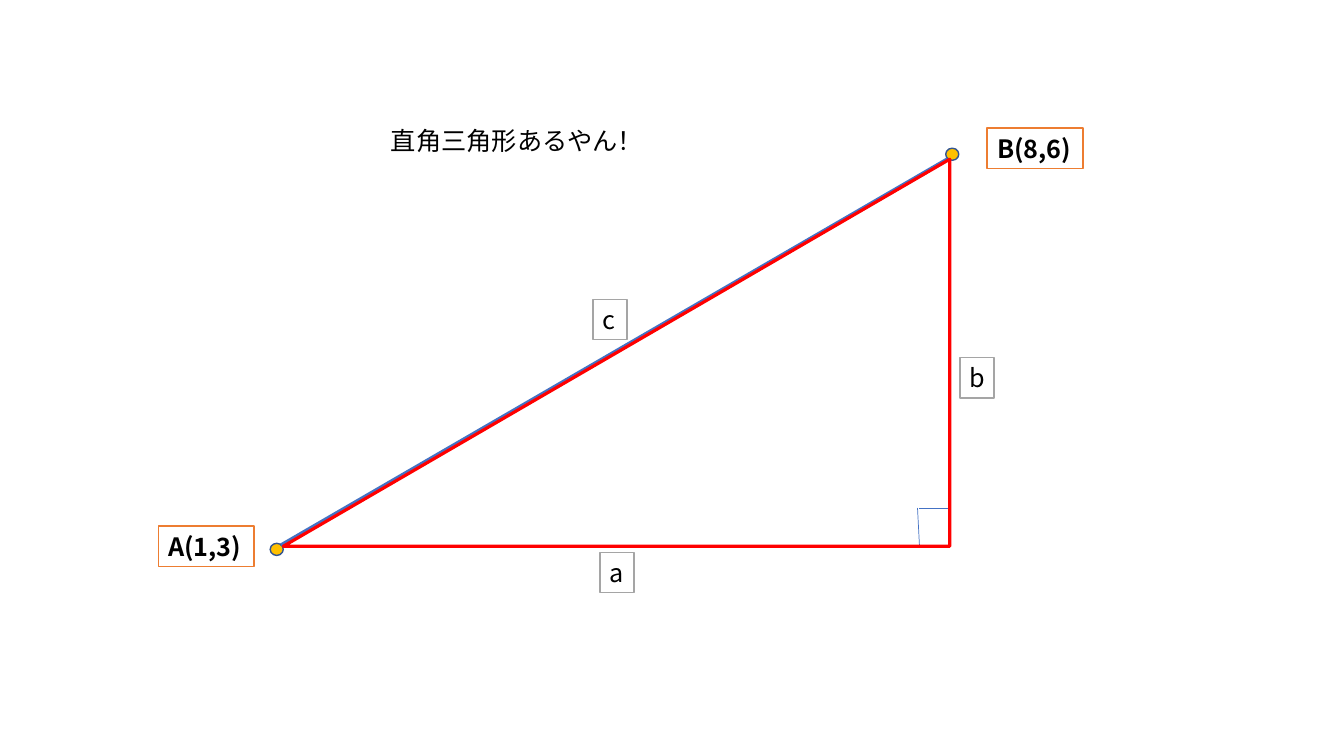
from lxml import etree
from pptx import Presentation
from pptx.dml.color import RGBColor
from pptx.enum.shapes import MSO_CONNECTOR, MSO_SHAPE
from pptx.enum.text import MSO_AUTO_SIZE
from pptx.oxml.ns import qn
from pptx.util import Inches, Pt

STRAIGHT = MSO_CONNECTOR.STRAIGHT
OVAL, RIGHT_TRIANGLE = MSO_SHAPE.OVAL, MSO_SHAPE.RIGHT_TRIANGLE
GROW = MSO_AUTO_SIZE.SHAPE_TO_FIT_TEXT
FONT = "Noto Sans CJK JP"
COLORS = {
    "text": "000000", "paper": "FFFFFF", "point": "FFC000", "point_edge": "325491",
    "coordinate": "ED7D31", "segment": "4472C4", "triangle": "FF0000", "side": "A5A5A5",
}

# Triangle edges, in inches
LEFT, TOP, BASE, HEIGHT = 2.81, 1.58, 6.61, 3.84
RIGHT, BOTTOM = LEFT + BASE, TOP + HEIGHT
LABEL_HEIGHT = 0.4


def color(name):
    return RGBColor.from_string(COLORS[name])


def add_label(text, left, top, width, border=None, bold=False):
    label = slide.shapes.add_textbox(
        Inches(left), Inches(top), Inches(width), Inches(LABEL_HEIGHT))
    if border:
        label.fill.solid()
        label.fill.fore_color.rgb = color("paper")
        label.line.color.rgb = color(border)
        label.line.width = Pt(1)
    frame = label.text_frame
    frame.word_wrap = False
    frame.auto_size = GROW
    paragraph = frame.paragraphs[0]
    paragraph.text = text
    font = paragraph.font
    font.size, font.bold, font.name = Pt(18), bold, FONT
    font.color.rgb = color("text")
    # Japanese glyphs take the East Asian typeface
    defaults = paragraph._p.pPr.find(qn("a:defRPr"))
    etree.SubElement(defaults, qn("a:ea")).set("typeface", FONT)


presentation = Presentation()
presentation.slide_width, presentation.slide_height = Inches(13.33), Inches(7.5)
slide = presentation.slides.add_slide(presentation.slide_layouts[6])

# Points A and B
for left, top in [(2.68, 5.39), (9.38, 1.47)]:
    point = slide.shapes.add_shape(
        OVAL, Inches(left), Inches(top), Inches(0.13), Inches(0.12))
    point.shadow.inherit = False
    point.fill.solid()
    point.fill.fore_color.rgb = color("point")
    point.line.color.rgb = color("point_edge")
    point.line.width = Pt(1)

# Segment AB and the right-angle mark
for x1, y1, x2, y2, weight in [
    (2.79, 5.41, 9.4, TOP, 3),
    (RIGHT - 0.32, 5.04, RIGHT - 0.3, BOTTOM, 0.5),
    (RIGHT, 5.04, RIGHT - 0.3, 5.04, 0.5),
]:
    segment = slide.shapes.add_connector(
        STRAIGHT, Inches(x1), Inches(y1), Inches(x2), Inches(y2))
    segment.line.color.rgb = color("segment")
    segment.line.width = Pt(weight)
    etree.SubElement(segment._element.spPr, qn("a:effectLst"))

# Right triangle, mirrored so that the right angle is at the lower right
triangle = slide.shapes.add_shape(
    RIGHT_TRIANGLE, Inches(LEFT), Inches(TOP), Inches(BASE), Inches(HEIGHT))
triangle.shadow.inherit = False
triangle.fill.background()
triangle.line.color.rgb = color("triangle")
triangle.line.width = Pt(2.25)
triangle._element.spPr.find(qn("a:xfrm")).set("flipH", "1")

# Remark, coordinates and side names
add_label("直角三角形あるやん！", 3.78, 1.19, 2.73)
for coordinates, left, top in [("A(1,3)", 1.57, 5.22), ("B(8,6)", 9.79, 1.27)]:
    add_label(coordinates, left, top, 0.95, "coordinate", bold=True)
for side, left, top in [("a", 5.95, 5.48), ("b", 9.52, 3.55), ("c", 5.88, 2.97)]:
    add_label(side, left, top, 0.34, "side")

presentation.save("out.pptx")
